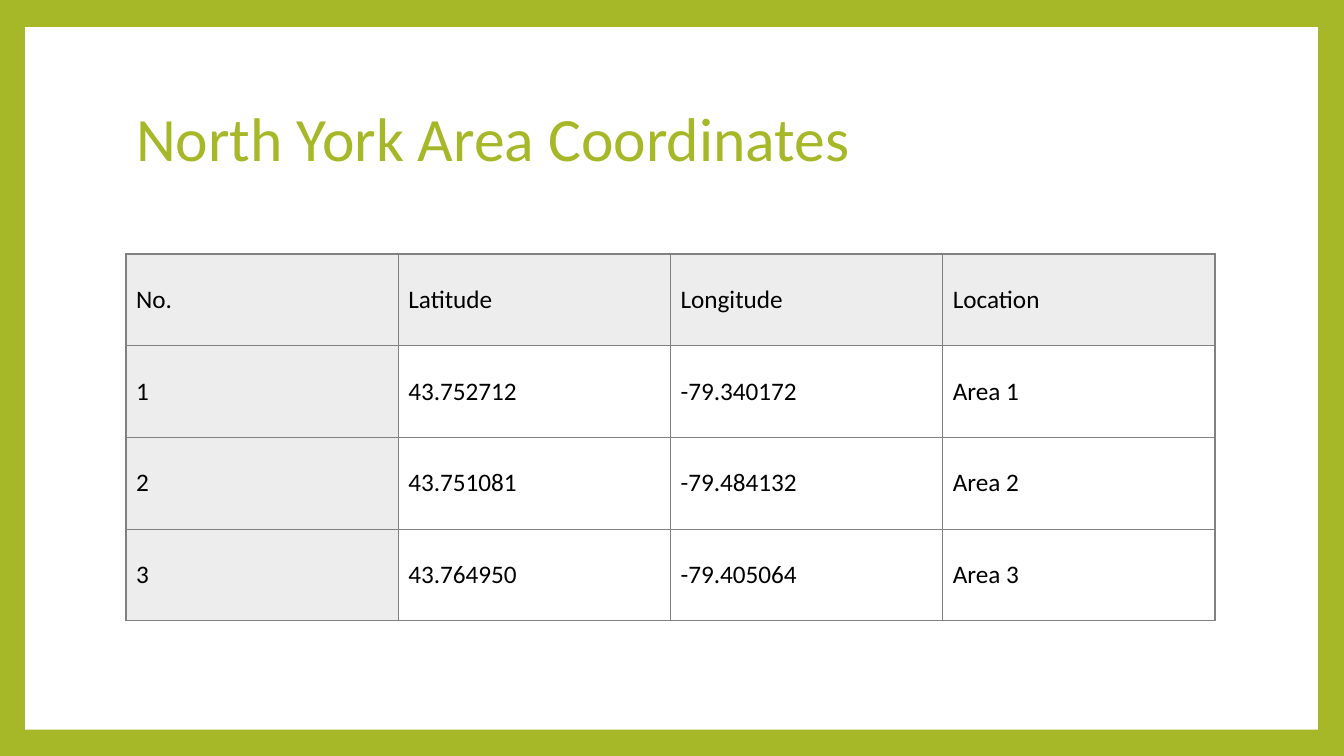
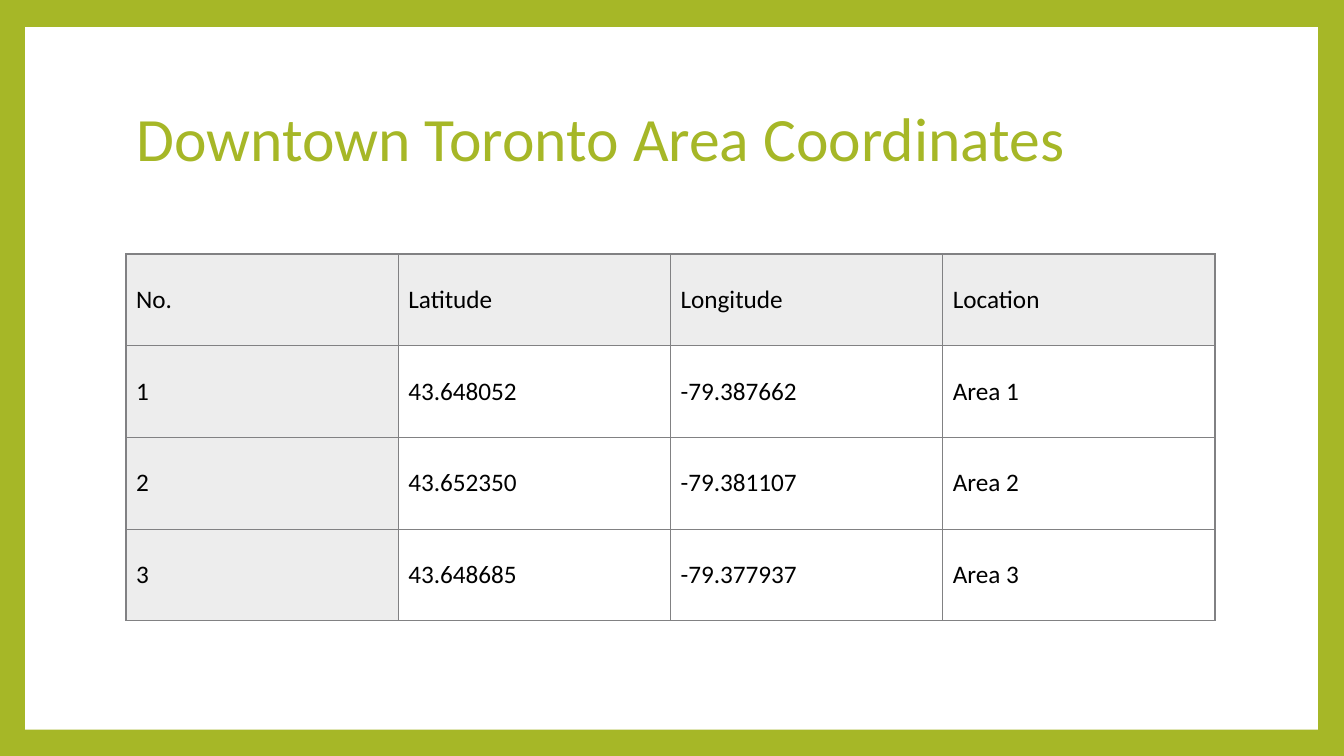
from lxml.etree import SubElement
from pptx import Presentation
from pptx.dml.color import RGBColor
from pptx.enum.shapes import MSO_SHAPE
from pptx.enum.text import MSO_ANCHOR, PP_ALIGN
from pptx.oxml.ns import qn
from pptx.util import Inches, Pt

GREEN = "A6B727"
WHITE = "FFFFFF"
BLACK = "000000"
HEADER_GRAY = "EDEDED"
BORDER_GRAY = "818183"
FONT = "Calibri"

CONTENT_LEFT = 1.25
CONTENT_WIDTH = 10.8
ROW_HEIGHT = 0.91

HEADERS = ("No.", "Latitude", "Longitude", "Location")
AREA_SLIDES = (
    ("North York Area Coordinates", (
        ("43.752712", "-79.340172"),
        ("43.751081", "-79.484132"),
        ("43.764950", "-79.405064"),
    )),
    ("Downtown Toronto Area Coordinates", (
        ("43.648052", "-79.387662"),
        ("43.652350", "-79.381107"),
        ("43.648685", "-79.377937"),
    )),
)


def set_solid(fill, color):
    fill.solid()
    fill.fore_color.rgb = RGBColor.from_string(color)


def write_text(text_frame, text, size, color, line_spacing=None):
    text_frame.word_wrap = True
    paragraph = text_frame.paragraphs[0]
    paragraph.alignment = PP_ALIGN.LEFT
    paragraph.line_spacing = line_spacing
    run = paragraph.add_run()
    run.text = text
    run.font.name = FONT
    run.font.size = Pt(size)
    run.font.color.rgb = RGBColor.from_string(color)


def add_borders(cell, color, width):
    """Outline all four sides; call before the cell fill is set."""
    properties = cell._tc.get_or_add_tcPr()
    for side in ("a:lnL", "a:lnR", "a:lnT", "a:lnB"):
        line = SubElement(properties, qn(side), w=str(Pt(width)))
        SubElement(SubElement(line, qn("a:solidFill")), qn("a:srgbClr"), val=color)


def add_frame(slide):
    """Draw the green border: a white panel behind the title, on a green background."""
    set_solid(slide.background.fill, GREEN)
    panel = slide.shapes.add_shape(
        MSO_SHAPE.RECTANGLE, Inches(0.25), Inches(0.27), Inches(12.82), Inches(6.97))
    panel.shadow.inherit = False
    set_solid(panel.fill, WHITE)
    panel.line.fill.background()
    slide.shapes.title.element.addprevious(panel.element)


def add_title(slide, text):
    title = slide.shapes.title
    title.left, title.top = Inches(CONTENT_LEFT), Inches(0.66)
    title.width, title.height = Inches(CONTENT_WIDTH), Inches(1.48)
    title.text_frame.vertical_anchor = MSO_ANCHOR.MIDDLE
    write_text(title.text_frame, text, size=44, color=GREEN, line_spacing=0.9)


def add_table(slide, rows):
    table = slide.shapes.add_table(
        len(rows), len(rows[0]), Inches(CONTENT_LEFT), Inches(2.52),
        Inches(CONTENT_WIDTH), Inches(ROW_HEIGHT * len(rows)),
    ).table
    table.first_row = False
    table.horz_banding = False
    for row_index, values in enumerate(rows):
        for column_index, value in enumerate(values):
            cell = table.cell(row_index, column_index)
            cell.vertical_anchor = MSO_ANCHOR.MIDDLE
            add_borders(cell, BORDER_GRAY, width=1)
            if row_index == 0 or column_index == 0:
                set_solid(cell.fill, HEADER_GRAY)
            else:
                cell.fill.background()
            write_text(cell.text_frame, value, size=18, color=BLACK)


def add_coordinate_slide(presentation, title, coordinates):
    layout = presentation.slide_layouts.get_by_name("Title Only")
    slide = presentation.slides.add_slide(layout)
    add_frame(slide)
    add_title(slide, title)
    rows = [HEADERS]
    for number, (latitude, longitude) in enumerate(coordinates, start=1):
        rows.append((str(number), latitude, longitude, f"Area {number}"))
    add_table(slide, rows)


def main():
    presentation = Presentation()
    presentation.slide_width = Inches(13.33)
    presentation.slide_height = Inches(7.5)
    for title, coordinates in AREA_SLIDES:
        add_coordinate_slide(presentation, title, coordinates)
    presentation.save("out.pptx")


if __name__ == "__main__":
    main()
